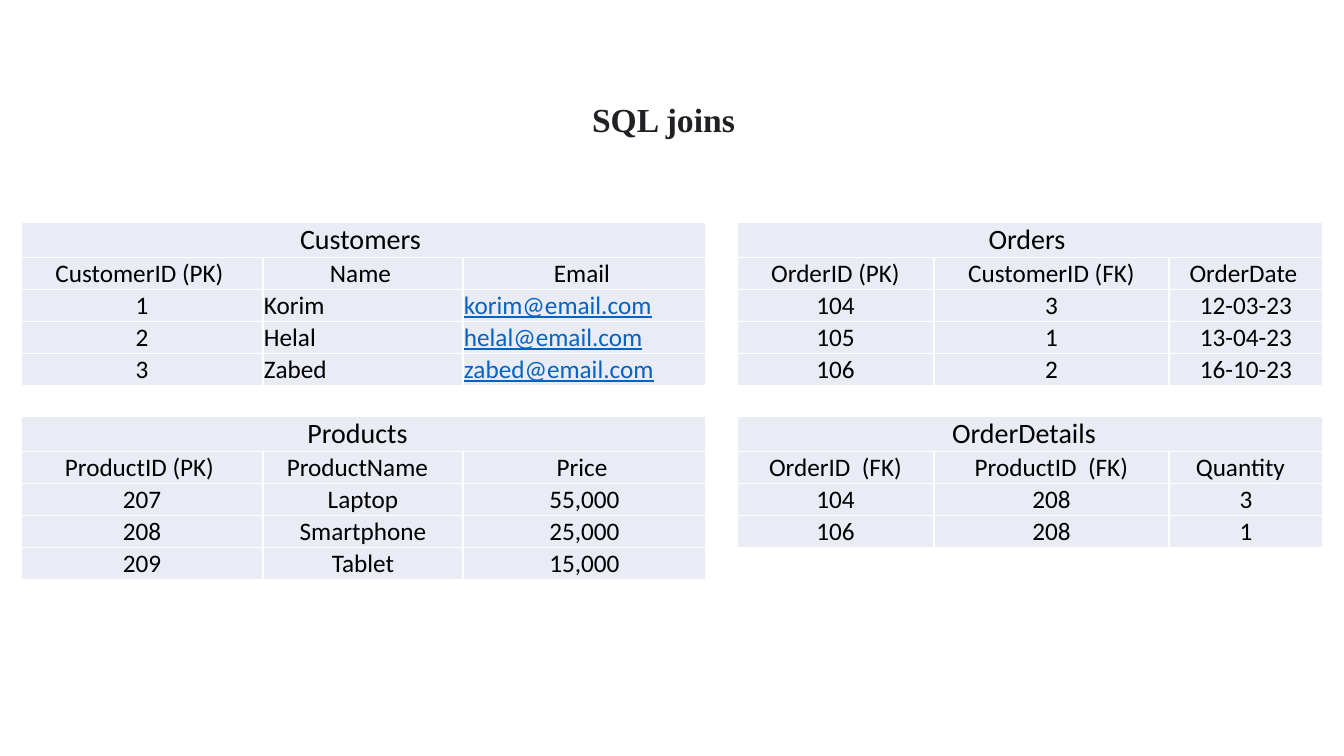
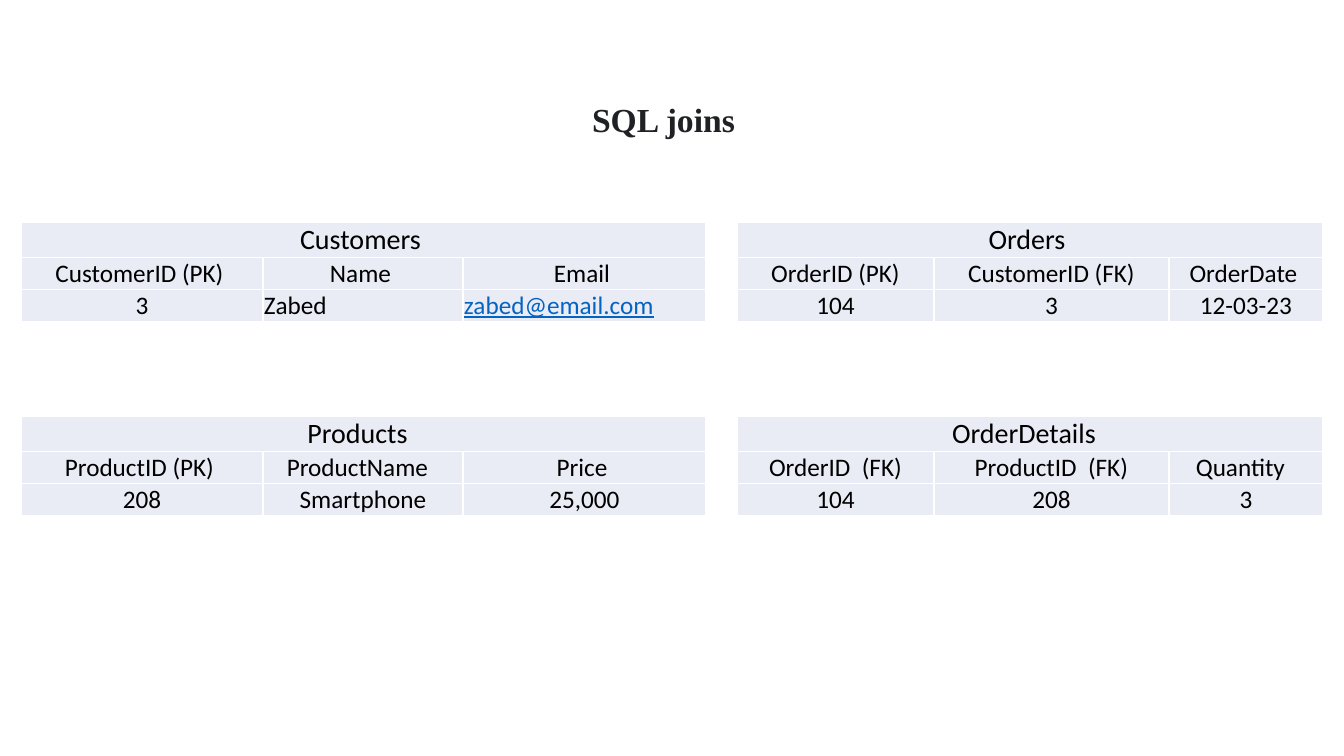
import dataclasses

import pptx
import pptx.dml.color
import pptx.enum.text
import pptx.oxml.ns
import pptx.util
import lxml.etree

ALIGN = pptx.enum.text.PP_ALIGN
ANCHOR = pptx.enum.text.MSO_ANCHOR
EMU_PER_PX = 914400 / 100.8


@dataclasses.dataclass(frozen=True)
class Theme:
    ink: str = "000000"
    title_ink: str = "202124"
    link: str = "0563C1"
    cell: str = "E9EBF5"
    border: str = "FFFFFF"
    body_font: str = "Calibri"
    title_font: str = "Times New Roman"
    title_size: int = 24
    caption_size: int = 20
    body_size: int = 18
    border_width: int = 1


@dataclasses.dataclass(frozen=True)
class Relation:
    name: str
    columns: tuple
    rows: tuple
    joined_row: int
    caption_inset: int
    heading_insets: tuple
    left_columns: tuple = ()


THEME = Theme()

CUSTOMERS = Relation(
    "Customers",
    ("CustomerID (PK)", "Name", "Email"),
    (
        ("1", "Korim", "korim@email.com"),
        ("2", "Helal", "helal@email.com"),
        ("3", "Zabed", "zabed@email.com"),
    ),
    joined_row=2,
    caption_inset=7,
    heading_insets=(6, 6, 6),
    left_columns=(1, 2),
)
ORDERS = Relation(
    "Orders",
    ("OrderID (PK)", "CustomerID (FK)", "OrderDate"),
    (("104", "3", "12-03-23"), ("105", "1", "13-04-23"), ("106", "2", "16-10-23")),
    joined_row=0,
    caption_inset=7,
    heading_insets=(1, 1, 6),
)
PRODUCTS = Relation(
    "Products",
    ("ProductID (PK)", "ProductName", "Price"),
    (("207", "Laptop", "55,000"), ("208", "Smartphone", "25,000"), ("209", "Tablet", "15,000")),
    joined_row=1,
    caption_inset=13,
    heading_insets=(6, 12, 6),
)
ORDER_DETAILS = Relation(
    "OrderDetails",
    ("OrderID  (FK)", "ProductID  (FK)", "Quantity"),
    (("104", "208", "3"), ("106", "208", "1")),
    joined_row=0,
    caption_inset=13,
    heading_insets=(1, 1, 12),
)

RELATION_GRID = ((CUSTOMERS, ORDERS), (PRODUCTS, ORDER_DETAILS))
GRID_COLUMNS = ((21, (242, 200, 243)), (737, (197, 235, 154)))
GRID_TOPS = (222, 416)
CAPTION_HEIGHT = 34
ROW_HEIGHT = 32
TITLE_BOX = (582, 94, 179, 50)


def px(length):
    return pptx.util.Emu(round(length * EMU_PER_PX))


def color(value):
    return pptx.dml.color.RGBColor.from_string(value)


def write_text(frame, text, *, size=THEME.body_size, font=THEME.body_font,
               ink=THEME.ink, bold=False, underline=False, align=ALIGN.CENTER):
    paragraph = frame.paragraphs[0]
    paragraph.alignment = align
    run = paragraph.add_run()
    run.text = text
    run.font.size = pptx.util.Pt(size)
    run.font.name = font
    run.font.bold = bold
    run.font.underline = underline
    run.font.color.rgb = color(ink)


def add_borders(cell):
    properties = cell._tc.get_or_add_tcPr()
    for side in ("a:lnL", "a:lnR", "a:lnT", "a:lnB"):
        line = lxml.etree.SubElement(properties, pptx.oxml.ns.qn(side))
        line.set("w", str(pptx.util.Pt(THEME.border_width)))
        fill = lxml.etree.SubElement(line, pptx.oxml.ns.qn("a:solidFill"))
        lxml.etree.SubElement(fill, pptx.oxml.ns.qn("a:srgbClr")).set("val", THEME.border)


def format_cell(cell):
    add_borders(cell)
    cell.fill.solid()
    cell.fill.fore_color.rgb = color(THEME.cell)
    cell.vertical_anchor = ANCHOR.MIDDLE
    cell.margin_left = cell.margin_right = cell.margin_top = px(1)
    cell.margin_bottom = 0


def write_heading(cell, text, right_inset, size):
    cell.margin_right = px(right_inset)
    write_text(cell.text_frame, text, size=size)


def add_relation(slide, relation, rows, left, top, widths):
    heights = [CAPTION_HEIGHT] + [ROW_HEIGHT] * (len(rows) + 1)
    table = slide.shapes.add_table(
        len(heights), len(widths), px(left), px(top), px(sum(widths)), px(sum(heights))).table
    table.first_row = table.horz_banding = False
    for column, width in zip(table.columns, widths):
        column.width = px(width)
    for row, height in zip(table.rows, heights):
        row.height = px(height)
    for cell in table.iter_cells():
        format_cell(cell)

    caption = table.cell(0, 0)
    caption.merge(table.cell(0, len(widths) - 1))
    write_heading(caption, relation.name, relation.caption_inset, THEME.caption_size)
    for index, (heading, inset) in enumerate(zip(relation.columns, relation.heading_insets)):
        write_heading(table.cell(1, index), heading, inset, THEME.body_size)
    for row_index, values in enumerate(rows, start=2):
        for index, value in enumerate(values):
            is_email = "@" in value
            write_text(
                table.cell(row_index, index).text_frame, value,
                ink=THEME.link if is_email else THEME.ink,
                underline=is_email,
                align=ALIGN.LEFT if index in relation.left_columns else ALIGN.CENTER)


def add_title(slide, text, box):
    title = slide.shapes.title
    title.left, title.top, title.width, title.height = map(px, box)
    frame = title.text_frame
    frame.word_wrap = True
    frame.auto_size = pptx.enum.text.MSO_AUTO_SIZE.NONE
    frame.vertical_anchor = ANCHOR.TOP
    write_text(frame, text, size=THEME.title_size, font=THEME.title_font,
               ink=THEME.title_ink, bold=True, align=ALIGN.LEFT)


def add_joins_slide(presentation, joined_only):
    slide = presentation.slides.add_slide(presentation.slide_layouts.get_by_name("Title Only"))
    add_title(slide, "SQL joins", TITLE_BOX)
    for top, relations in zip(GRID_TOPS, RELATION_GRID):
        for (left, widths), relation in zip(GRID_COLUMNS, relations):
            rows = (relation.rows[relation.joined_row],) if joined_only else relation.rows
            add_relation(slide, relation, rows, left, top, widths)


def main():
    presentation = pptx.Presentation()
    presentation.slide_width = px(1344)
    presentation.slide_height = px(756)
    for joined_only in (False, True):
        add_joins_slide(presentation, joined_only)
    presentation.save("out.pptx")


if __name__ == "__main__":
    main()
